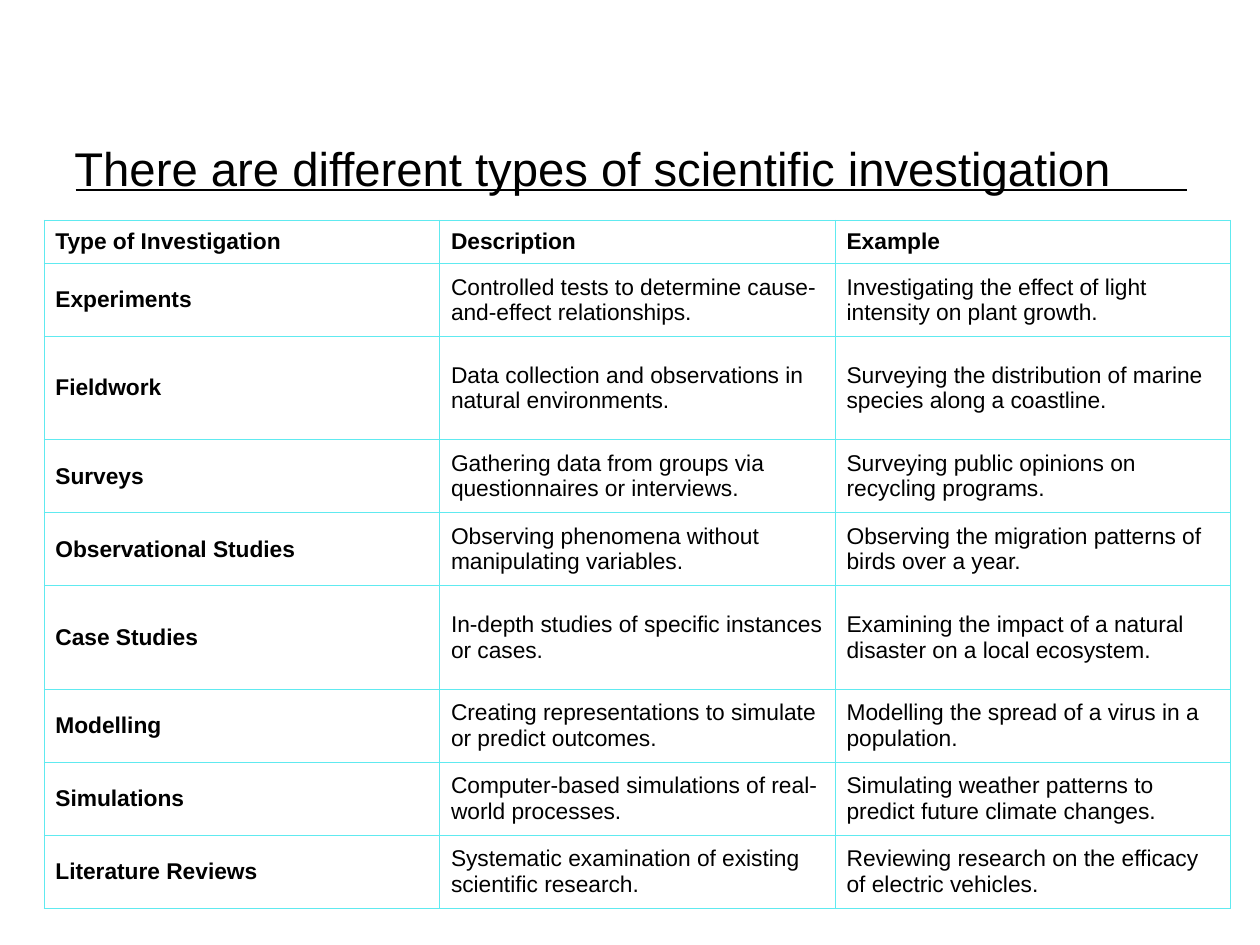
from lxml.etree import SubElement
from pptx import Presentation
from pptx.dml.color import RGBColor
from pptx.enum.shapes import MSO_CONNECTOR as Connector
from pptx.enum.text import MSO_ANCHOR as Anchor, PP_ALIGN as Align
from pptx.oxml.ns import qn
from pptx.util import Inches, Pt

COLOURS = {"text": "000000", "border": "60EAF0"}
FONT = "Arial"
COLUMN_WIDTH = 3.14
HEADER_HEIGHT, ROW_HEIGHT, TALL_HEIGHT = 0.34, 0.58, 0.82
TALL_ROWS = {"Fieldwork", "Case Studies"}

HEADINGS = ("Type of Investigation", "Description", "Example")
INVESTIGATIONS = [
    ("Experiments",
     "Controlled tests to determine cause-and-effect relationships.",
     "Investigating the effect of light intensity on plant growth."),
    ("Fieldwork",
     "Data collection and observations in natural environments.",
     "Surveying the distribution of marine species along a coastline."),
    ("Surveys",
     "Gathering data from groups via questionnaires or interviews.",
     "Surveying public opinions on recycling programs."),
    ("Observational Studies",
     "Observing phenomena without manipulating variables.",
     "Observing the migration patterns of birds over a year."),
    ("Case Studies",
     "In-depth studies of specific instances or cases.",
     "Examining the impact of a natural disaster on a local ecosystem."),
    ("Modelling",
     "Creating representations to simulate or predict outcomes.",
     "Modelling the spread of a virus in a population."),
    ("Simulations",
     "Computer-based simulations of real-world processes.",
     "Simulating weather patterns to predict future climate changes."),
    ("Literature Reviews",
     "Systematic examination of existing scientific research.",
     "Reviewing research on the efficacy of electric vehicles."),
]


def write_text(frame, text, size=13, bold=False, spacing=None):
    para = frame.paragraphs[0]
    para.alignment = Align.LEFT
    para.line_spacing = spacing
    span = para.add_run()
    span.text = text
    span.font.name = FONT
    span.font.size = Pt(size)
    span.font.bold = bold
    span.font.color.rgb = RGBColor.from_string(COLOURS["text"])


def set_margins(holder, side, top):
    holder.margin_left = holder.margin_right = Inches(side)
    holder.margin_top = holder.margin_bottom = Inches(top)


def add_rule(page, left, right, top):
    rule = page.shapes.add_connector(
        Connector.STRAIGHT, Inches(left), Inches(top), Inches(right), Inches(top))
    rule.line.color.rgb = RGBColor.from_string(COLOURS["text"])
    rule.line.width = Pt(1)
    SubElement(rule._element.spPr, qn("a:effectLst"))


def fill_title(page, text):
    title = page.shapes.title
    title.left, title.top = Inches(0.49), Inches(0.63)
    title.width, title.height = Inches(8.62), Inches(1.45)
    frame = title.text_frame
    frame.word_wrap = True
    frame.vertical_anchor = Anchor.MIDDLE
    set_margins(frame, 0.1, 0.1)
    write_text(frame, text, size=27, spacing=0.9)


def add_borders(cell):
    properties = cell._tc.get_or_add_tcPr()
    for position, side in enumerate(("lnL", "lnR", "lnT", "lnB")):
        line = SubElement(properties, qn(f"a:{side}"), w=str(Pt(0.75)))
        fill = SubElement(line, qn("a:solidFill"))
        SubElement(fill, qn("a:srgbClr"), val=COLOURS["border"])
        properties.insert(position, line)  # borders come before the fill


def format_cell(cell, text, bold):
    cell.fill.background()
    cell.vertical_anchor = Anchor.MIDDLE
    set_margins(cell, 0.09, 0.05)
    write_text(cell.text_frame, text, bold=bold)
    add_borders(cell)


def add_investigation_table(page):
    rows = [HEADINGS, *INVESTIGATIONS]
    heights = [HEADER_HEIGHT] + [
        TALL_HEIGHT if row[0] in TALL_ROWS else ROW_HEIGHT for row in INVESTIGATIONS]
    table = page.shapes.add_table(
        len(rows), len(HEADINGS), Inches(0.35), Inches(1.75),
        Inches(COLUMN_WIDTH * len(HEADINGS)), Inches(sum(heights))).table
    table.horz_banding = False
    table.first_row = False
    for column in table.columns:
        column.width = Inches(COLUMN_WIDTH)
    for r, (row, height) in enumerate(zip(rows, heights)):
        table.rows[r].height = Inches(height)
        for c, text in enumerate(row):
            format_cell(table.cell(r, c), text, bold=r == 0 or c == 0)


def main():
    deck = Presentation()
    deck.slide_width, deck.slide_height = Inches(10), Inches(7.5)
    page = deck.slides.add_slide(deck.slide_layouts[5])  # title only

    # Heading and its rule
    add_rule(page, 0.6, 9.42, 1.51)
    fill_title(page, "There are different types of scientific investigation")

    # Types of investigation
    add_investigation_table(page)
    deck.save("out.pptx")


if __name__ == "__main__":
    main()
